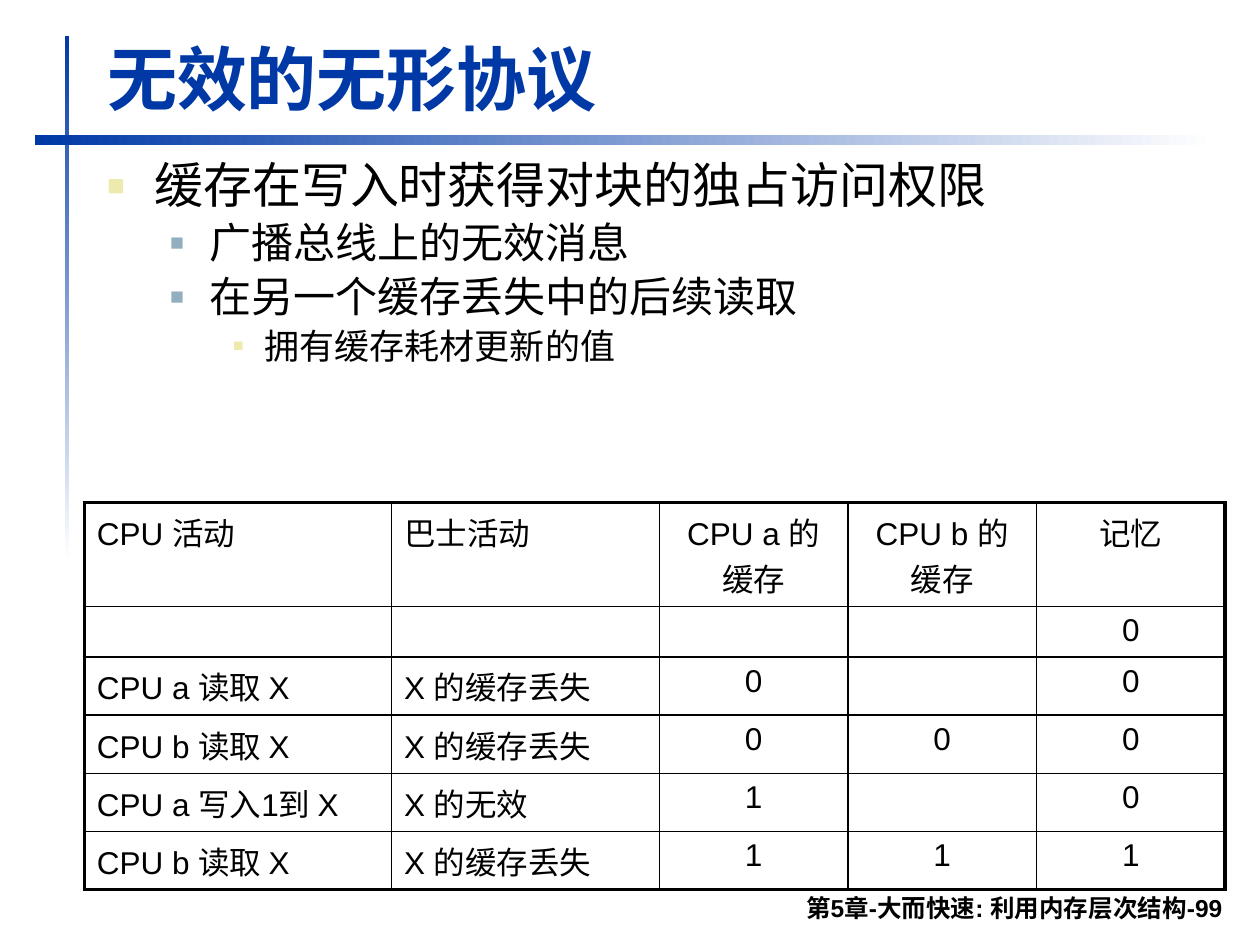
from dataclasses import dataclass

from lxml.etree import SubElement
from pptx import Presentation
from pptx.dml.color import RGBColor
from pptx.enum.shapes import MSO_SHAPE
from pptx.enum.text import MSO_ANCHOR, MSO_AUTO_SIZE, PP_ALIGN
from pptx.oxml.ns import qn
from pptx.util import Pt

FONT = "Arial"
BLUE, BLACK, WHITE = "0039A6", "000000", "FFFFFF"
OUTER_LINE, INNER_LINE = 2.25, 1


@dataclass
class Box:
    left: float
    top: float
    width: float
    height: float

    def lengths(self) -> tuple:
        return Pt(self.left), Pt(self.top), Pt(self.width), Pt(self.height)


@dataclass
class GradientBar:
    box: Box
    angle: int  # counter-clockwise


@dataclass
class BulletStyle:
    size: float
    indent: float
    hanging: float
    color: str
    percent: int


BARS = [
    GradientBar(Box(37, 20.4, 2.6, 300), 270),
    GradientBar(Box(19.8, 77, 674.6, 5.8), 0),
]
LEVELS = [
    BulletStyle(28, 27, 27, "ECEAAC", 60),
    BulletStyle(24, 58.5, 22.5, "91AFBF", 55),
    BulletStyle(20, 90, 18, "ECEAAC", 50),
]
BULLETS = [
    (0, "缓存在写入时获得对块的独占访问权限"),
    (1, "广播总线上的无效消息"),
    (1, "在另一个缓存丢失中的后续读取"),
    (2, "拥有缓存耗材更新的值"),
]
COLUMN_WIDTHS = [175.6, 153] + [107.8] * 3
ROW_HEIGHTS = [59.4, 28.8] + [33.2] * 4
TABLE_BOX = Box(48.2, 287.3, sum(COLUMN_WIDTHS), sum(ROW_HEIGHTS))
ROWS = [
    ["CPU 活动", "巴士活动", "CPU a 的缓存", "CPU b 的缓存", "记忆"],
    ["", "", "", "", "0"],
    ["CPU a 读取 X", "X 的缓存丢失", "0", "", "0"],
    ["CPU b 读取 X", "X 的缓存丢失", "0", "0", "0"],
    ["CPU a 写入1到 X", "X 的无效", "1", "", "0"],
    ["CPU b 读取 X", "X 的缓存丢失", "1", "1", "1"],
]


def rgb(color: str) -> RGBColor:
    return RGBColor.from_string(color)


def add_run(paragraph, text: str, size: float, color: str = BLACK, bold: bool = False) -> None:
    run = paragraph.add_run()
    run.text = text
    run.font.name = FONT
    run.font.size = Pt(size)
    run.font.bold = bold
    run.font.color.rgb = rgb(color)


def place(shape, box: Box) -> None:
    shape.left, shape.top, shape.width, shape.height = box.lengths()


def add_bar(slide, bar: GradientBar) -> None:
    shape = slide.shapes.add_shape(MSO_SHAPE.RECTANGLE, *bar.box.lengths())
    shape.shadow.inherit = False
    shape.line.fill.background()
    shape.fill.gradient()
    shape.fill.gradient_angle = bar.angle
    for stop, color in zip(shape.fill.gradient_stops, (BLUE, WHITE)):
        stop.color.rgb = rgb(color)


def fill_title(title) -> None:
    place(title, Box(54, 16.6, 650.2, 55.4))
    frame = title.text_frame
    frame.vertical_anchor = MSO_ANCHOR.BOTTOM
    frame.auto_size = MSO_AUTO_SIZE.SHAPE_TO_FIT_TEXT
    paragraph = frame.paragraphs[0]
    paragraph.alignment = PP_ALIGN.LEFT
    add_run(paragraph, "无效的无形协议", 40, BLUE, bold=True)


def set_bullet(paragraph, style: BulletStyle) -> None:
    properties = paragraph._p.get_or_add_pPr()
    properties.set("marL", str(Pt(style.indent)))
    properties.set("indent", str(-Pt(style.hanging)))
    color = SubElement(properties, qn("a:buClr"))
    SubElement(color, qn("a:srgbClr"), val=style.color)
    SubElement(properties, qn("a:buSzPct"), val=str(style.percent * 1000))
    SubElement(properties, qn("a:buFont"), typeface=FONT)
    SubElement(properties, qn("a:buChar"), char="■")


def fill_body(body) -> None:
    place(body, Box(54, 88.6, 651.6, 187.2))
    frame = body.text_frame
    frame.auto_size = MSO_AUTO_SIZE.NONE
    for index, (level, text) in enumerate(BULLETS):
        style = LEVELS[level]
        paragraph = frame.add_paragraph() if index else frame.paragraphs[0]
        paragraph.level = level
        paragraph.line_spacing = 0.9
        paragraph.space_before = Pt(style.size * 0.2)
        set_bullet(paragraph, style)
        add_run(paragraph, text, style.size)


def add_footer(slide) -> None:
    frame = slide.shapes.add_textbox(*Box(133.2, 502.6, 572.4, 28.1).lengths()).text_frame
    frame.word_wrap = True
    frame.vertical_anchor = MSO_ANCHOR.BOTTOM
    paragraph = frame.paragraphs[0]
    paragraph.alignment = PP_ALIGN.RIGHT
    add_run(paragraph, "第5章-大而快速: 利用内存层次结构-99", 14, bold=True)


def set_borders(cell, outer_sides: dict[str, bool]) -> None:
    """Draw all four sides, heavier where the side is on the table's edge."""
    properties = cell._tc.get_or_add_tcPr()
    for position, (side, is_outer) in enumerate(outer_sides.items()):
        width = OUTER_LINE if is_outer else INNER_LINE
        line = SubElement(properties, qn(f"a:ln{side}"), w=str(Pt(width)))
        fill = SubElement(line, qn("a:solidFill"))
        SubElement(fill, qn("a:srgbClr"), val=BLACK)
        properties.insert(position, line)


def add_activity_table(slide) -> None:
    last_row, last_column = len(ROWS) - 1, len(COLUMN_WIDTHS) - 1
    table = slide.shapes.add_table(len(ROWS), len(COLUMN_WIDTHS), *TABLE_BOX.lengths()).table
    table.first_row = table.horz_banding = False
    for column, width in zip(table.columns, COLUMN_WIDTHS):
        column.width = Pt(width)
    for row, height in zip(table.rows, ROW_HEIGHTS):
        row.height = Pt(height)
    for r, texts in enumerate(ROWS):
        for c, text in enumerate(texts):
            cell = table.cell(r, c)
            cell.fill.background()
            set_borders(cell, {"L": c == 0, "R": c == last_column, "T": r == 0, "B": r == last_row})
            if text:
                paragraph = cell.text_frame.paragraphs[0]
                paragraph.alignment = PP_ALIGN.LEFT if c < 2 else PP_ALIGN.CENTER
                paragraph.space_before = Pt(3.6)
                add_run(paragraph, text, 18)


def main() -> None:
    presentation = Presentation()
    presentation.slide_width, presentation.slide_height = Pt(720), Pt(540)
    slide = presentation.slides.add_slide(presentation.slide_layouts[1])
    for bar in BARS:
        add_bar(slide, bar)
    fill_title(slide.shapes.title)
    fill_body(slide.placeholders[1])
    add_footer(slide)
    add_activity_table(slide)
    presentation.save("out.pptx")


if __name__ == "__main__":
    main()
